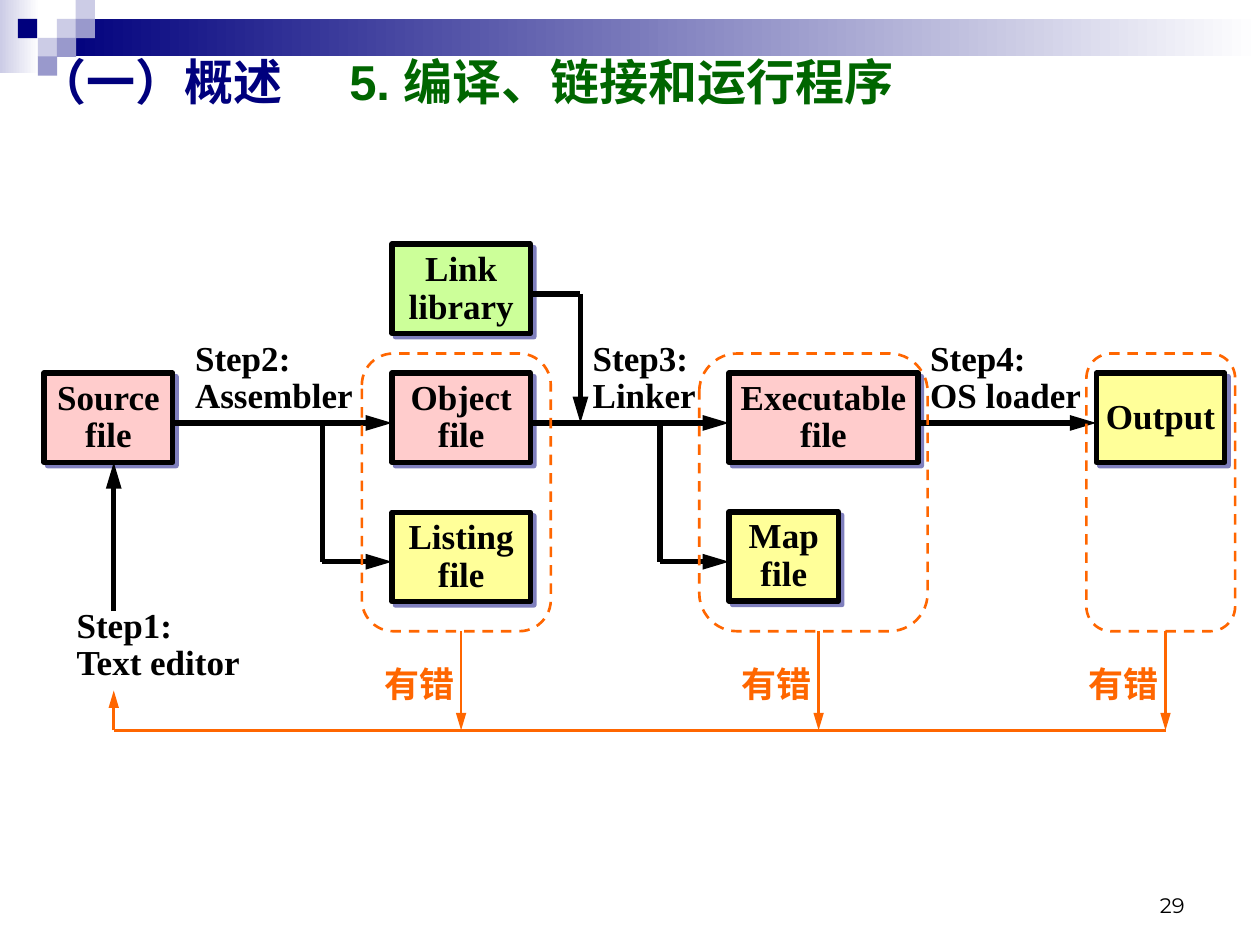
from lxml.etree import SubElement
from pptx import Presentation
from pptx.dml.color import RGBColor
from pptx.enum.dml import MSO_LINE
from pptx.enum.shapes import MSO_CONNECTOR, MSO_SHAPE
from pptx.enum.text import MSO_ANCHOR as ANCHOR, PP_ALIGN as ALIGN
from pptx.oxml import parse_xml
from pptx.oxml.ns import nsdecls, qn
from pptx.util import Pt

NAVY, LILAC, VIOLET, WHITE = "00007D", "CCCCE6", "9999CC", "FFFFFF"
PINK, GREEN, YELLOW = "FFCCCC", "CCFF99", "FFFF99"
BLACK, ORANGE = "000000", "FF6600"
hex_color = RGBColor.from_string


def write(sp, text, color=BLACK, align=ALIGN.LEFT):
    tf = sp.text_frame
    tf.word_wrap = False
    tf.vertical_anchor = ANCHOR.MIDDLE
    for i, words in enumerate(text.split("\n")):
        p = tf.add_paragraph() if i else tf.paragraphs[0]
        p.alignment = align
        p.line_spacing = 0.9
        r = p.add_run()
        r.text = words
        r.font.name, r.font.size, r.font.bold = "Times New Roman", Pt(20), True
        r.font.color.rgb = hex_color(color)


def connect(x1, y1, x2, y2, color=BLACK, width=3, arrow=True):
    c = s.shapes.add_connector(MSO_CONNECTOR.STRAIGHT, Pt(x1), Pt(y1), Pt(x2), Pt(y2))
    c.line.color.rgb = hex_color(color)
    c.line.width = Pt(width)
    if arrow:
        SubElement(c.line._get_or_add_ln(), qn("a:tailEnd"), type="triangle", w="med", len="lg")
    SubElement(c._element.spPr, qn("a:effectLst"))


prs = Presentation()
prs.slide_width, prs.slide_height = Pt(720), Pt(540)
s = prs.slides.add_slide(prs.slide_layouts[5])

# Header band and squares
header = [(0, 0, 22.5, 42, (LILAC, WHITE)), (32.5, 10.8, 687.5, 21.4, (NAVY, WHITE))]
header += [(x, y, 11, 11, (color, None)) for x, y, color in [
    (32.5, 10.8, LILAC), (43.3, 0, LILAC), (43.3, 10.8, VIOLET), (21.7, 21.6, LILAC),
    (10.3, 10.8, NAVY), (32.5, 21.6, VIOLET), (21.7, 32.2, VIOLET)]]
for x, y, w, h, (start, end) in header:
    sp = s.shapes.add_shape(MSO_SHAPE.RECTANGLE, Pt(x), Pt(y), Pt(w), Pt(h))
    sp.shadow.inherit = False
    sp.line.fill.background()
    if end:
        sp.fill.gradient()
        sp.fill.gradient_angle = 0
        for stop, color in zip(sp.fill.gradient_stops, (start, end)):
            stop.color.rgb = hex_color(color)
    else:
        sp.fill.solid()
        sp.fill.fore_color.rgb = hex_color(start)

# Title, in front of the header, with a tab between its two parts
title = s.shapes.title
s.shapes._spTree.append(title._element)
title.left, title.top, title.width, title.height = Pt(14.4), Pt(26), Pt(659.5), Pt(41)
title.text_frame.vertical_anchor = ANCHOR.MIDDLE
p = title.text_frame.paragraphs[0]
p.alignment = ALIGN.LEFT
tabs = SubElement(p._p.get_or_add_pPr(), qn("a:tabLst"))
SubElement(tabs, qn("a:tab"), pos=str(Pt(178)), algn="l")
for words, color in [("（一）概述\t", NAVY), ("5. 编译、链接和运行程序", "006600")]:
    r = p.add_run()
    r.text = words
    r.font.name, r.font.size, r.font.bold = "Arial", Pt(28), True
    r.font.color.rgb = hex_color(color)

# Slide number
sp = s.shapes.add_textbox(Pt(516), Pt(492), Pt(168), Pt(36))
sp.text_frame.word_wrap = True
sp.text_frame.vertical_anchor = ANCHOR.BOTTOM
p = sp.text_frame.paragraphs[0]
p.alignment = ALIGN.RIGHT
r = p.add_run()
r.text = "29"
r.font.name, r.font.size = "Montserrat", Pt(12)
r.font.color.rgb = hex_color(BLACK)

# Files
for text, x, y, w, color in [
        ("Source\nfile", 25.2, 213.2, 73.5, PINK),
        ("Link\nlibrary", 224, 139.5, 79.2, GREEN),
        ("Object\nfile", 224, 213.2, 79.2, PINK),
        ("Listing\nfile", 224, 292.8, 79.2, YELLOW),
        ("Executable\nfile", 416.6, 213.2, 108, PINK),
        ("Map\nfile", 416.6, 292.5, 62.5, YELLOW),
        ("Output", 626.4, 213.2, 73.5, YELLOW)]:
    sp = s.shapes.add_shape(MSO_SHAPE.RECTANGLE, Pt(x), Pt(y), Pt(w), Pt(51))
    sp.fill.solid()
    sp.fill.fore_color.rgb = hex_color(color)
    sp.line.color.rgb = hex_color(BLACK)
    sp.line.width = Pt(3)
    sp._element.spPr.append(parse_xml(
        f'<a:effectLst {nsdecls("a")}><a:outerShdw dist="{Pt(2.8)}" dir="2700000" algn="ctr" '
        f'rotWithShape="0"><a:srgbClr val="{NAVY}"><a:alpha val="50000"/></a:srgbClr>'
        '</a:outerShdw></a:effectLst>'))
    write(sp, text, align=ALIGN.CENTER)

# Steps and error labels
labels = [("Step1:\nText editor", 36.7, 343.4, 108, 51, BLACK),
          ("Step2:\nAssembler", 104.4, 190.8, 108, 51, BLACK),
          ("Step3:\nLinker", 331.6, 190.8, 79.2, 51, BLACK),
          ("Step4:\nOS loader", 524.4, 190.8, 102.2, 51, BLACK)]
labels += [("有错", x, 378, 62.6, 28, ORANGE) for x in (212.5, 416.6, 615)]
for text, x, y, w, h, color in labels:
    write(s.shapes.add_textbox(Pt(x), Pt(y), Pt(w), Pt(h)), text, color)

# Main flow, with a branch to each by-product
FLOW, BRANCH = 241.7, 321
for x1, x2 in [(99.2, 224), (303.2, 416.6), (524.4, 626.4)]:
    connect(x1, FLOW, x2, FLOW)
for x1, x2 in [(184.2, 224), (377.2, 416.6)]:
    connect(x1, FLOW, x1, BRANCH, arrow=False)
    connect(x1, BRANCH, x2, BRANCH)
connect(303.2, 168, 331.7, 168, arrow=False)
connect(331.7, 168, 331.7, FLOW)
connect(65, 349.2, 65, 264.2)

# Stages that can fail, and the way back to the editor
BACK = 417.3
for x, w, drop in [(206.8, 108, 263.5), (399.6, 130.5, 467.8), (620.8, 85, 666)]:
    sp = s.shapes.add_shape(MSO_SHAPE.ROUNDED_RECTANGLE, Pt(x), Pt(202), Pt(w), Pt(158.7))
    sp.shadow.inherit = False
    sp.fill.background()
    sp.line.color.rgb = hex_color(ORANGE)
    sp.line.width = Pt(1.5)
    sp.line.dash_style = MSO_LINE.DASH
    connect(drop, 360.7, drop, BACK, ORANGE, 1.5)
connect(666, BACK, 65, BACK, ORANGE, 1.5, arrow=False)
connect(65, BACK, 65, 394.6, ORANGE, 1.5)

prs.save("out.pptx")
